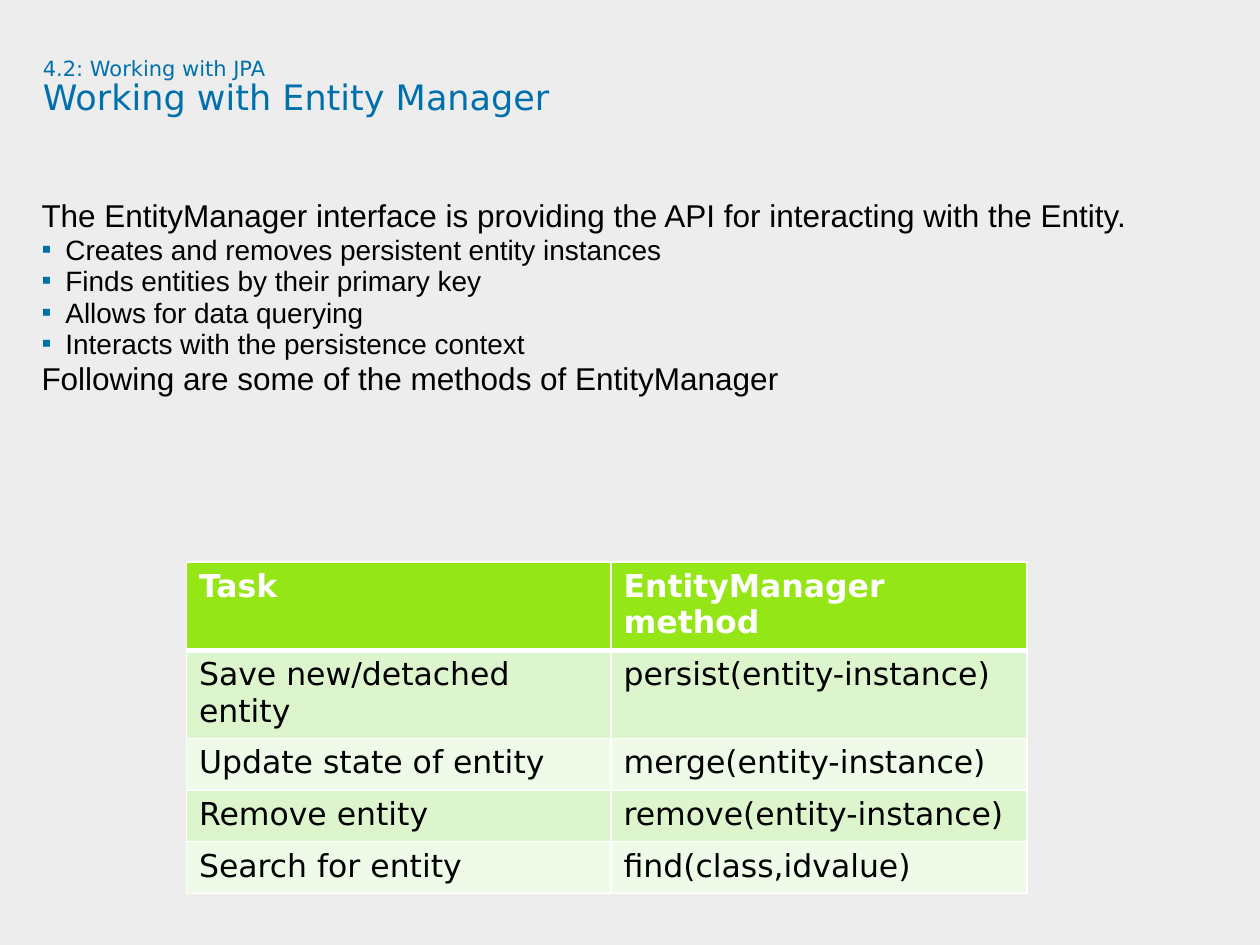
from pptx import Presentation
from pptx.dml.color import RGBColor
from pptx.enum.shapes import MSO_SHAPE as Shape
from pptx.oxml import parse_xml
from pptx.oxml.ns import nsdecls
from pptx.util import Inches, Pt

BLUE, BLACK, WHITE = "0070AD", "000000", "FFFFFF"
HEADER_GREEN, BAND_GREENS = "95E616", ("DDF5CC", "EFFAE8")
TITLE_FONT, BODY_FONT = "DejaVu Sans", "Arial"
INTRODUCTION = "The EntityManager interface is providing the API for interacting with the Entity."
DUTIES = [
    "Creates and removes persistent entity instances",
    "Finds entities by their primary key",
    "Allows for data querying",
    "Interacts with the persistence context",
]
LEAD_IN = "Following are some of the methods of EntityManager"
METHODS = [
    ("Task", "EntityManager method"),
    ("Save new/detached entity", "persist(entity-instance)"),
    ("Update state of entity", "merge(entity-instance)"),
    ("Remove entity", "remove(entity-instance)"),
    ("Search for entity", "find(class,idvalue)"),
]


def color(value):
    """Turn a hex string into a colour."""
    return RGBColor.from_string(value)


def style_font(font, name, size, fill, bold=False):
    """Set the face, size, colour and weight of a font."""
    font.name, font.size, font.bold = name, Pt(size), bold
    font.color.rgb = color(fill)


def add_background(slide, width, height):
    """Cover the slide with a plain grey rectangle."""
    shape = slide.shapes.add_shape(Shape.RECTANGLE, 0, 0, width, height)
    shape.shadow.inherit = False
    shape.fill.solid()
    shape.fill.fore_color.rgb = color("EDEDED")
    shape.line.fill.background()


def add_text_frame(slide, left, top, width, height):
    """Add a wrapping text box without margins and return its frame."""
    box = slide.shapes.add_textbox(Inches(left), Inches(top), Inches(width), Inches(height))
    frame = box.text_frame
    frame.word_wrap = True
    frame.margin_left = frame.margin_top = frame.margin_right = frame.margin_bottom = 0
    return frame


def add_title(slide, section, title):
    """Write the section name above the slide title."""
    paragraph = add_text_frame(slide, 0.34, 0.46, 9.09, 0.94).paragraphs[0]
    paragraph.line_spacing = 0.9
    for text, size in ((section, 12), (title, 20)):
        if paragraph.runs:
            paragraph.add_line_break()
        run = paragraph.add_run()
        run.text = text
        style_font(run.font, TITLE_FONT, size, BLUE)


def add_bullet(paragraph):
    """Give a paragraph a hanging blue square bullet."""
    properties = paragraph._p.get_or_add_pPr()
    indent = Inches(0.19)
    properties.set("marL", str(indent))
    properties.set("indent", str(-indent))
    for xml in (
        f'<a:buClr {nsdecls("a")}><a:srgbClr val="{BLUE}"/></a:buClr>',
        f'<a:buFont {nsdecls("a")} typeface="{BODY_FONT}"/>',
        f'<a:buChar {nsdecls("a")} char="▪"/>',
    ):
        properties.append(parse_xml(xml))


def write_body_line(paragraph, text, bulleted):
    """Write one line of the body, as plain text or as a bullet."""
    paragraph.text = text
    paragraph.line_spacing = Pt(13.5 if bulleted else 16.5)
    paragraph.space_after = Pt(4.5)
    if bulleted:
        paragraph.level = 1
        add_bullet(paragraph)
    style_font(paragraph.font, BODY_FONT, 16 if bulleted else 18, BLACK)


def add_body(slide):
    """Add the introduction, the bulleted duties and the lead-in."""
    frame = add_text_frame(slide, 0.33, 1.63, 9.67, 5.08)
    for index, text in enumerate([INTRODUCTION, *DUTIES, LEAD_IN]):
        paragraph = frame.add_paragraph() if index else frame.paragraphs[0]
        write_body_line(paragraph, text, text in DUTIES)


def add_borders(cell, top, bottom):
    """Draw white borders around a cell."""
    properties = cell._tc.get_or_add_tcPr()
    for side, width in (("L", 1), ("R", 1), ("T", top), ("B", bottom)):
        properties.append(parse_xml(
            f'<a:ln{side} {nsdecls("a")} w="{Pt(width)}"><a:solidFill>'
            f'<a:srgbClr val="{WHITE}"/></a:solidFill></a:ln{side}>'
        ))


def fill_cell(cell, text, row):
    """Write and colour a cell according to its row."""
    is_header = row == 0
    add_borders(cell, 3 if row == 1 else 1, 3 if is_header else 1)
    cell.fill.solid()
    cell.fill.fore_color.rgb = color(HEADER_GREEN if is_header else BAND_GREENS[(row - 1) % 2])
    cell.text = text
    font = cell.text_frame.paragraphs[0].font
    style_font(font, TITLE_FONT, 18, WHITE if is_header else BLACK, is_header)


def add_method_table(slide):
    """Add the table of tasks and their EntityManager methods."""
    row_height = Inches(0.41)
    table = slide.shapes.add_table(
        len(METHODS), 2, Inches(1.48), Inches(4.46), Inches(6.67), row_height * len(METHODS)
    ).table
    for column, width in zip(table.columns, (3.37, 3.3)):
        column.width = Inches(width)
    for row, texts in enumerate(METHODS):
        table.rows[row].height = row_height
        for column, text in enumerate(texts):
            fill_cell(table.cell(row, column), text, row)


def main():
    """Build the slide and save it."""
    presentation = Presentation()
    presentation.slide_width, presentation.slide_height = Inches(10), Inches(7.5)
    slide = presentation.slides.add_slide(presentation.slide_layouts[6])
    add_background(slide, presentation.slide_width, presentation.slide_height)
    add_title(slide, "4.2: Working with JPA", "Working with Entity Manager")
    add_body(slide)
    add_method_table(slide)
    presentation.save("out.pptx")


if __name__ == "__main__":
    main()
